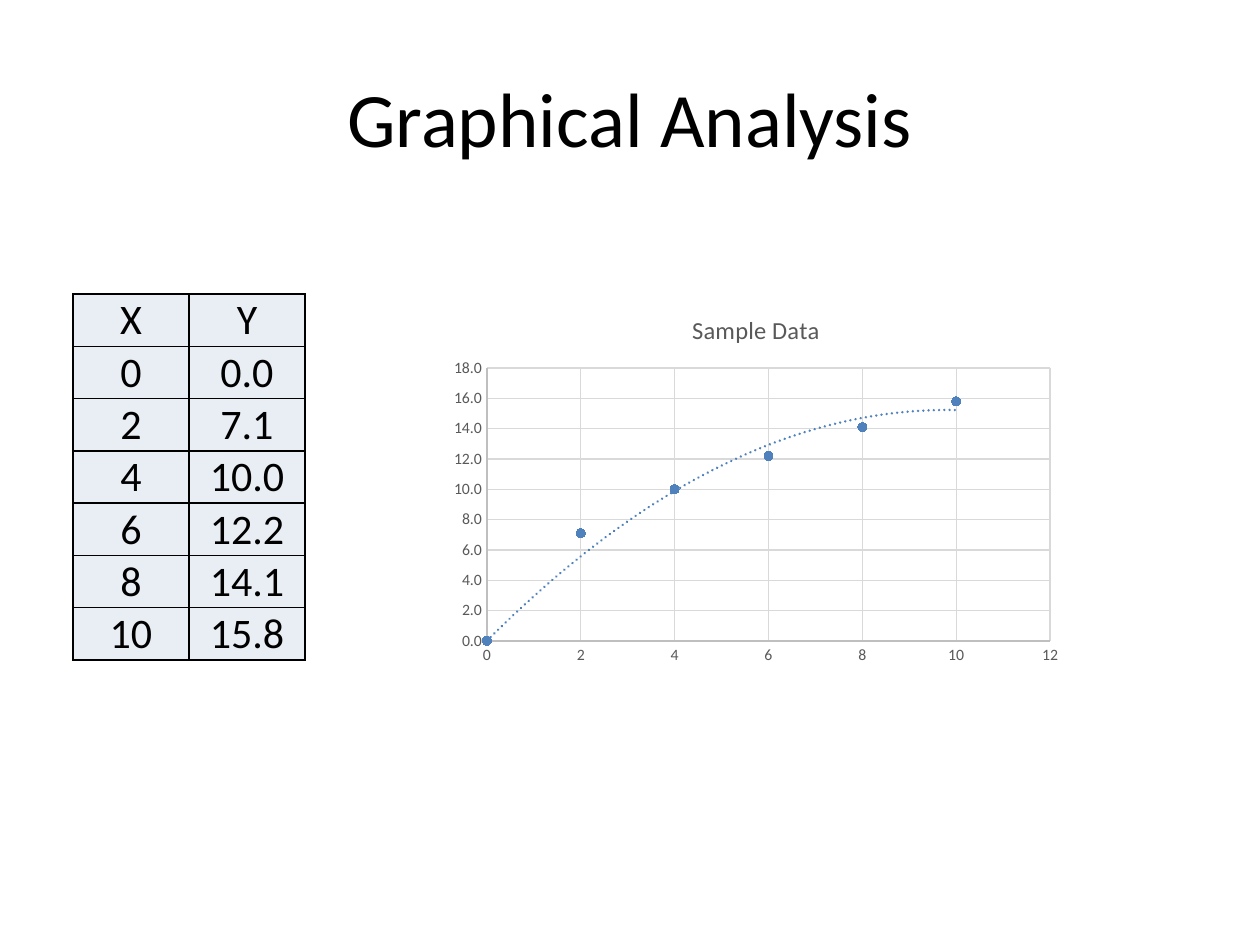
from dataclasses import dataclass

from lxml import etree
from pptx import Presentation
from pptx.chart.data import XyChartData
from pptx.dml.color import RGBColor
from pptx.enum.chart import XL_CHART_TYPE, XL_MARKER_STYLE, XL_TICK_MARK
from pptx.enum.text import MSO_ANCHOR, PP_ALIGN
from pptx.oxml import parse_xml
from pptx.oxml.ns import nsdecls
from pptx.util import Emu, Pt

SCATTER = XL_CHART_TYPE.XY_SCATTER
CIRCLE = XL_MARKER_STYLE.CIRCLE
NO_TICK = XL_TICK_MARK.NONE
CENTER = PP_ALIGN.CENTER
MIDDLE, BOTTOM = MSO_ANCHOR.MIDDLE, MSO_ANCHOR.BOTTOM
TITLE_ONLY = 5
PX = 914400 // 126


@dataclass(frozen=True)
class Theme:
    font: str = "Calibri"
    text: str = "000000"
    muted: str = "595959"
    cell: str = "E9EDF4"
    series: str = "4F81BD"
    axis: str = "BFBFBF"
    grid: str = "D9D9D9"
    title_size: int = 44
    table_size: int = 24
    chart_title_size: int = 14
    axis_size: int = 9


THEME = Theme()
POINTS = [(0, 0.0), (2, 7.1), (4, 10.0), (6, 12.2), (8, 14.1), (10, 15.8)]


def px(n):
    return Emu(n * PX)


def style_font(font, size, color):
    font.name = THEME.font
    font.size = Pt(size)
    font.bold = False
    font.color.rgb = RGBColor.from_string(color)


def write(tf, text, size, color):
    p = tf.paragraphs[0]
    p.alignment = CENTER
    r = p.add_run()
    r.text = text
    style_font(r.font, size, color)


def style_line(line, color, width=0.75):
    line.color.rgb = RGBColor.from_string(color)
    line.width = Pt(width)


def add_title(s, box, text):
    sp = s.shapes.title
    sp.left, sp.top, sp.width, sp.height = map(px, box)
    sp.text_frame.vertical_anchor = MIDDLE
    write(sp.text_frame, text, THEME.title_size, THEME.text)


def border_cell(cell):
    """Draw a 1 pt line on all four sides; the lines must precede the fill."""
    tc_pr = cell._tc.get_or_add_tcPr()
    for i, side in enumerate("LRTB"):
        tc_pr.insert(i, parse_xml(
            f'<a:ln{side} {nsdecls("a")} w="{Pt(1)}"><a:solidFill>'
            f'<a:srgbClr val="{THEME.text}"/></a:solidFill></a:ln{side}>'))


def add_data_table(s, box, points):
    rows = [("X", "Y")] + [(str(x), f"{y:.1f}") for x, y in points]
    table = s.shapes.add_table(len(rows), 2, *map(px, box)).table
    for i, row in enumerate(rows):
        table.rows[i].height = px(box[3] // len(rows))
        for j, text in enumerate(row):
            cell = table.cell(i, j)
            cell.margin_left = cell.margin_right = cell.margin_top = px(1)
            cell.margin_bottom = 0
            cell.vertical_anchor = BOTTOM
            cell.fill.solid()
            cell.fill.fore_color.rgb = RGBColor.from_string(THEME.cell)
            border_cell(cell)
            write(cell.text_frame, text, THEME.table_size, THEME.text)


def style_axis(axis, top, step, number_format):
    axis.minimum_scale, axis.maximum_scale, axis.major_unit = 0, top, step
    axis.major_tick_mark = axis.minor_tick_mark = NO_TICK
    axis.has_major_gridlines = True
    style_line(axis.major_gridlines.format.line, THEME.grid)
    style_line(axis.format.line, THEME.axis)
    style_font(axis.tick_labels.font, THEME.axis_size, THEME.muted)
    axis.tick_labels.number_format = number_format
    axis.tick_labels.number_format_is_linked = False


def add_trendline(series):
    """Fit a dotted quadratic through the origin."""
    trend = parse_xml(
        f'<c:trendline {nsdecls("c", "a")}><c:spPr><a:ln w="{Pt(1.5)}" cap="rnd">'
        f'<a:solidFill><a:srgbClr val="{THEME.series}"/></a:solidFill>'
        '<a:prstDash val="sysDot"/></a:ln></c:spPr>'
        '<c:trendlineType val="poly"/><c:order val="2"/><c:intercept val="0"/>'
        '<c:dispRSqr val="0"/><c:dispEq val="0"/></c:trendline>')
    series._element.find("{*}xVal").addprevious(trend)


def place_plot(chart, box, plot):
    """Fix the inner plot area, given in px relative to the chart box."""
    area = chart._chartSpace.chart.plotArea
    for old in area.findall("{*}layout"):
        area.remove(old)
    layout = parse_xml(
        f'<c:layout {nsdecls("c")}><c:manualLayout><c:layoutTarget val="inner"/>'
        '<c:xMode val="edge"/><c:yMode val="edge"/></c:manualLayout></c:layout>')
    for name, length, whole in zip("xywh", plot, box[2:] * 2):
        tag = etree.QName(layout).namespace
        etree.SubElement(layout[0], f"{{{tag}}}{name}", val=f"{length / whole:.3f}")
    area.insert(0, layout)


def add_scatter(s, box, points, title):
    data = XyChartData()
    values = data.add_series("Series 1")
    for x, y in points:
        values.add_data_point(x, y)
    chart = s.shapes.add_chart(SCATTER, *map(px, box), data).chart
    chart.has_legend = False
    style_font(chart.font, 10, THEME.text)
    chart.has_title = True
    write(chart.chart_title.text_frame, title, THEME.chart_title_size, THEME.muted)
    chart.chart_title.include_in_layout = False
    style_axis(chart.category_axis, 12, 2, "General")
    style_axis(chart.value_axis, 18, 2, "0.0")
    chart.plots[0].vary_by_categories = False

    series = chart.plots[0].series[0]
    series.smooth = False
    series.format.line.fill.background()
    series.marker.style = CIRCLE
    series.marker.size = 5
    series.marker.format.fill.solid()
    series.marker.format.fill.fore_color.rgb = RGBColor.from_string(THEME.series)
    style_line(series.marker.format.line, THEME.series)
    add_trendline(series)
    place_plot(chart, box, (46, 74, 563, 273))


def main():
    prs = Presentation()
    prs.slide_width, prs.slide_height = px(1260), px(945)
    s = prs.slides.add_slide(prs.slide_layouts[TITLE_ONLY])
    add_title(s, (63, 38, 1134, 157), "Graphical Analysis")
    add_data_table(s, (73, 294, 232, 364), POINTS)
    add_scatter(s, (441, 294, 630, 378), POINTS, "Sample Data")
    prs.save("out.pptx")


if __name__ == "__main__":
    main()
